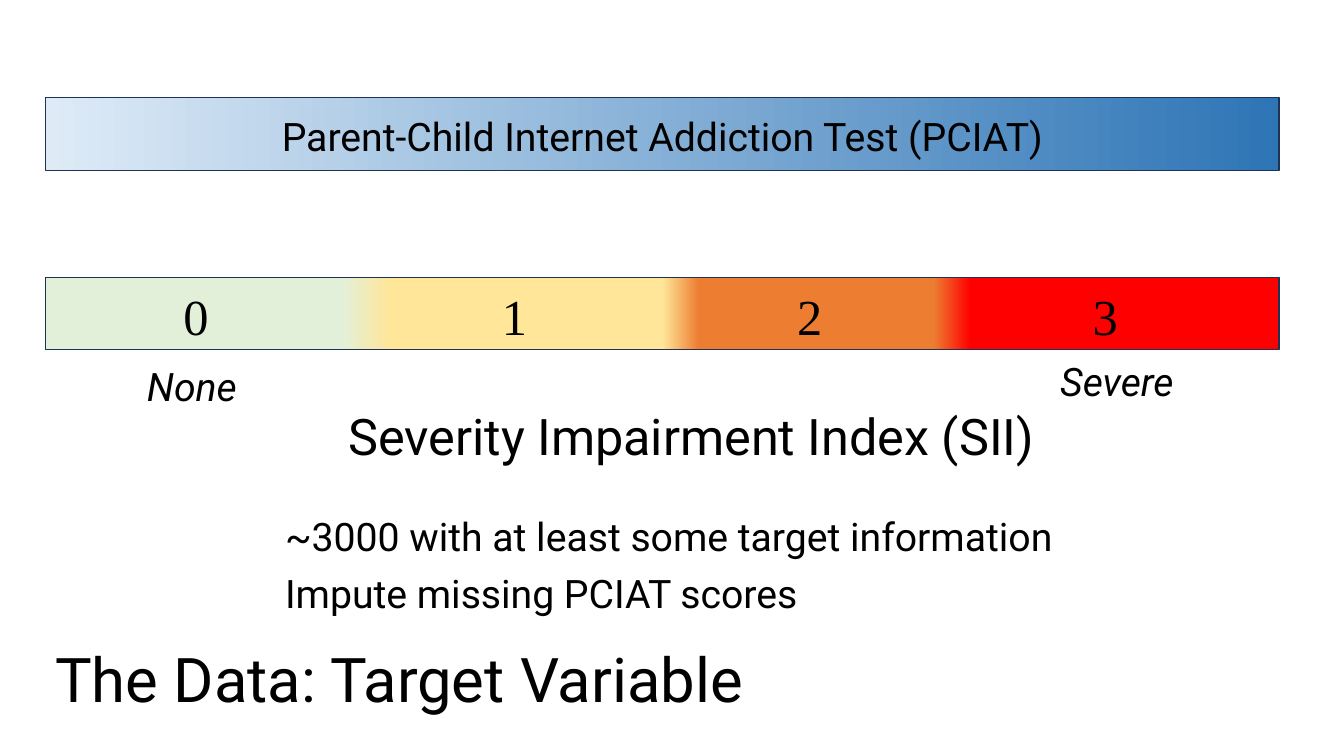
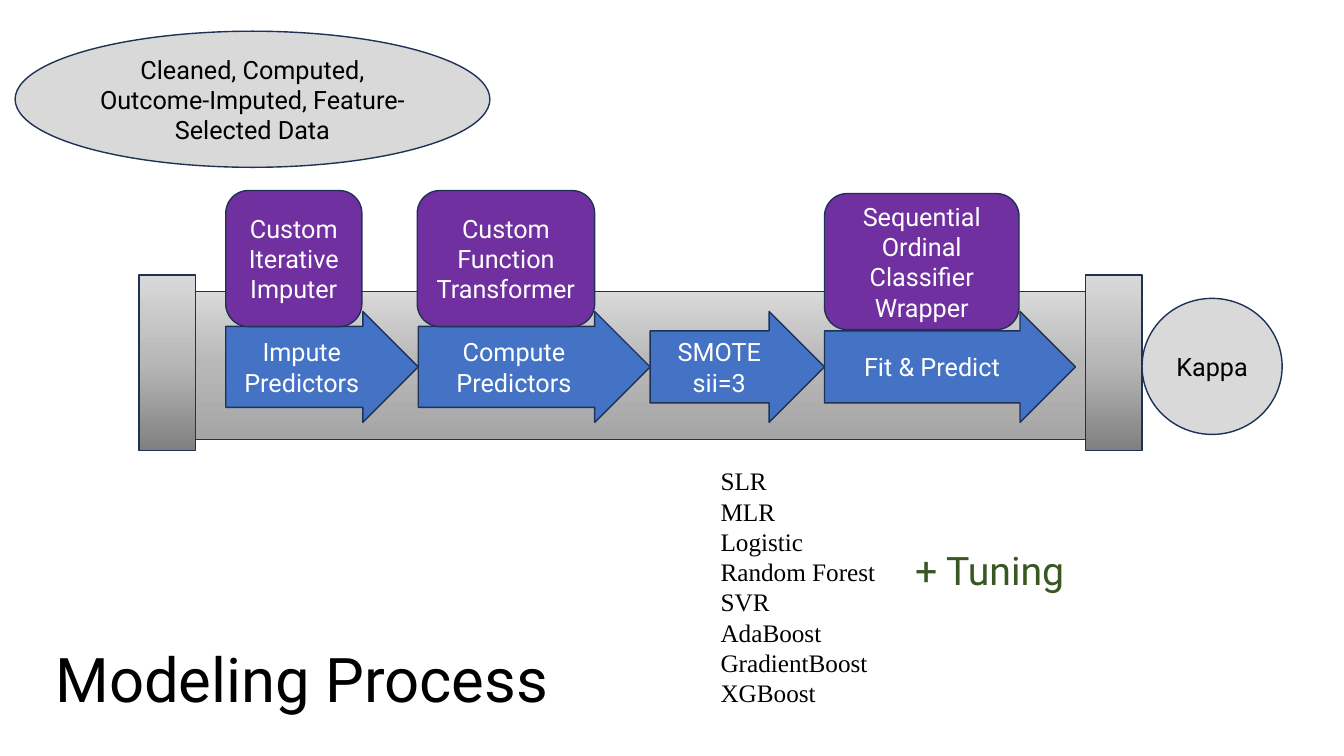
from dataclasses import dataclass
from itertools import pairwise

from lxml.etree import SubElement
from pptx import Presentation
from pptx.dml.color import RGBColor
from pptx.enum.shapes import MSO_SHAPE
from pptx.enum.text import MSO_ANCHOR, MSO_AUTO_SIZE, PP_ALIGN
from pptx.oxml.ns import qn
from pptx.util import Emu, Inches, Pt


@dataclass(frozen=True)
class Theme:
    sans: str = "Roboto"
    serif: str = "Times New Roman"
    ink: str = "000000"
    white: str = "FFFFFF"
    edge: str = "1E3256"
    gray: str = "D9D9D9"
    blue: str = "4472C4"
    purple: str = "7030A0"
    green: str = "385723"
    title: int = 44
    head: int = 36
    body: int = 28
    small: int = 18
    scale: tuple = ((0, "DEEBF7"), (100, "2E75B6"))
    levels: tuple = ((0, "E2F0D9"), (24, "E2F0D9"), (28, "FFE699"), (50, "FFE699"),
                     (53, "ED7D31"), (72, "ED7D31"), (75, "FF0000"), (100, "FF0000"))
    pipe: tuple = ((0, "A6A6A6"), (50, "B7B7B7"), (100, "D9D9D9"))
    cap: tuple = ((0, "808080"), (50, "B7B7B7"), (100, "D9D9D9"))


LOOK = Theme()
COLS, ROWS = 160, 90


def write(frame, text, size=LOOK.small, font=LOOK.sans, color=LOOK.ink, italic=False,
          align=PP_ALIGN.LEFT, anchor=MSO_ANCHOR.TOP, wrap=True, line=1.0, gap=0):
    frame.word_wrap = wrap
    frame.vertical_anchor = anchor
    if not wrap:
        frame.auto_size = MSO_AUTO_SIZE.SHAPE_TO_FIT_TEXT
    for row, words in enumerate(text.split("\n")):
        para = frame.add_paragraph() if row else frame.paragraphs[0]
        para.alignment = align
        para.line_spacing = line
        if row:
            para.space_before = Pt(gap)
        run = para.add_run()
        run.text = words
        run.font.size = Pt(size)
        run.font.name = font
        run.font.italic = italic
        run.font.color.rgb = RGBColor.from_string(color)


class Deck:
    def __init__(self, theme):
        self.theme = theme
        self.show = Presentation()
        self.show.slide_width = Inches(13.333)
        self.show.slide_height = Inches(7.5)
        self.page = None

    def place(self, left, top, wide, high):
        col = self.show.slide_width / COLS
        row = self.show.slide_height / ROWS
        return [Emu(round(n)) for n in (left * col, top * row, wide * col, high * row)]

    def slide(self, title):
        self.page = self.show.slides.add_slide(self.show.slide_layouts[6])
        self.label((5.4, 72.6, 138, 17.4), title, size=self.theme.title,
                   anchor=MSO_ANCHOR.MIDDLE, line=0.9)

    def label(self, box, text, **style):
        write(self.page.shapes.add_textbox(*self.place(*box)).text_frame, text, **style)

    def shape(self, kind, box):
        form = self.page.shapes.add_shape(kind, *self.place(*box))
        form.shadow.inherit = False
        form.line.color.rgb = RGBColor.from_string(self.theme.edge)
        form.line.width = Pt(1)
        return form

    def node(self, kind, box, text, fill, color=LOOK.white, adjust=()):
        form = self.shape(kind, box)
        form.fill.solid()
        form.fill.fore_color.rgb = RGBColor.from_string(fill)
        for slot, value in enumerate(adjust):
            form.adjustments[slot] = value
        write(form.text_frame, text, color=color, align=PP_ALIGN.CENTER,
              anchor=MSO_ANCHOR.MIDDLE)

    def blend(self, box, stops, angle=0):
        form = self.shape(MSO_SHAPE.RECTANGLE, box)
        form.fill.gradient()
        form.fill.gradient_angle = angle
        ramp = form.element.spPr.find(qn("a:gradFill")).find(qn("a:gsLst"))
        for old in list(ramp):
            ramp.remove(old)
        for spot, color in stops:
            stop = SubElement(ramp, qn("a:gs"), pos=str(spot * 1000))
            SubElement(stop, qn("a:srgbClr"), val=color)


def target(deck):
    look = deck.theme
    deck.slide("The Data: Target Variable")
    deck.label((32.76, 61.08, 101.9, 14.28),
               "~3000 with at least some target information\nImpute missing PCIAT scores",
               size=look.body, line=0.9, gap=10)
    deck.label((13.32, 48.48, 138, 10.44), "Severity Impairment Index (SII)",
               size=look.head, align=PP_ALIGN.CENTER, line=0.9)
    for top, stops in ((11.64, look.scale), (33, look.levels)):
        deck.blend((5.4, top, 146.88, 8.64), stops)
    deck.label((9.84, 13.92, 138, 6.12), "Parent-Child Internet Addiction Test (PCIAT)",
               size=look.body, align=PP_ALIGN.CENTER, line=0.8)
    for level, left in enumerate((20.64, 58.56, 93.72, 128.88)):
        deck.label((left, 33.36, 5.76, 8.52), str(level),
                   size=look.head, font=look.serif, wrap=False)
    for text, left, top, wide in (("None", 16.32, 42.6, 14.28),
                                  ("Severe", 125.04, 42, 17.04)):
        deck.label((left, top, wide, 6.84), text,
                   size=look.body, italic=True, wrap=False)


def process(deck):
    look = deck.theme
    deck.slide("Modeling Process")
    deck.blend((22.56, 34.68, 106.8, 17.64), look.pipe, 90)
    for left in (16.56, 129.24):
        deck.blend((left, 32.76, 6.72, 20.88), look.cap, 90)

    ends = (26.88, 49.8, 77.4, 98.16, 128.04)
    steps = (("Impute Predictors", 0.73), ("Compute Predictors", 0.73),
             ("SMOTE\nsii=3", 0.65), ("Fit & Predict", 0.65))
    for (left, right), (text, shaft) in zip(pairwise(ends), steps):
        deck.node(MSO_SHAPE.RIGHT_ARROW, (left, 37.08, right - left, 13.2), text,
                  look.blue, adjust=(shaft, 0.5))

    for text, left, top, wide in (
            ("Custom Iterative Imputer", 26.88, 22.68, 16.2),
            ("Custom Function Transformer", 49.68, 22.68, 21.12),
            ("Sequential Ordinal Classifier Wrapper", 98.16, 23.04, 23.16)):
        deck.node(MSO_SHAPE.ROUNDED_RECTANGLE, (left, top, wide, 16.2), text, look.purple)

    for text, left, top, wide in (
            ("Cleaned, Computed, Outcome-Imputed, Feature-Selected Data", 1.8, 3.72, 56.52),
            ("Kappa", 135.96, 35.52, 16.68)):
        deck.node(MSO_SHAPE.FLOWCHART_CONNECTOR, (left, top, wide, 16.2), text,
                  look.gray, look.ink)

    models = ("SLR", "MLR", "Logistic", "Random Forest", "SVR",
              "AdaBoost", "GradientBoost", "XGBoost")
    deck.label((84.6, 54.84, 22.08, 30.24), "\n".join(models),
               font=look.serif, wrap=False)
    deck.label((107.76, 64.44, 21.24, 6.84), "+ Tuning",
               size=look.body, color=look.green, wrap=False)


def main():
    deck = Deck(LOOK)
    target(deck)
    process(deck)
    deck.show.save("out.pptx")


if __name__ == "__main__":
    main()
